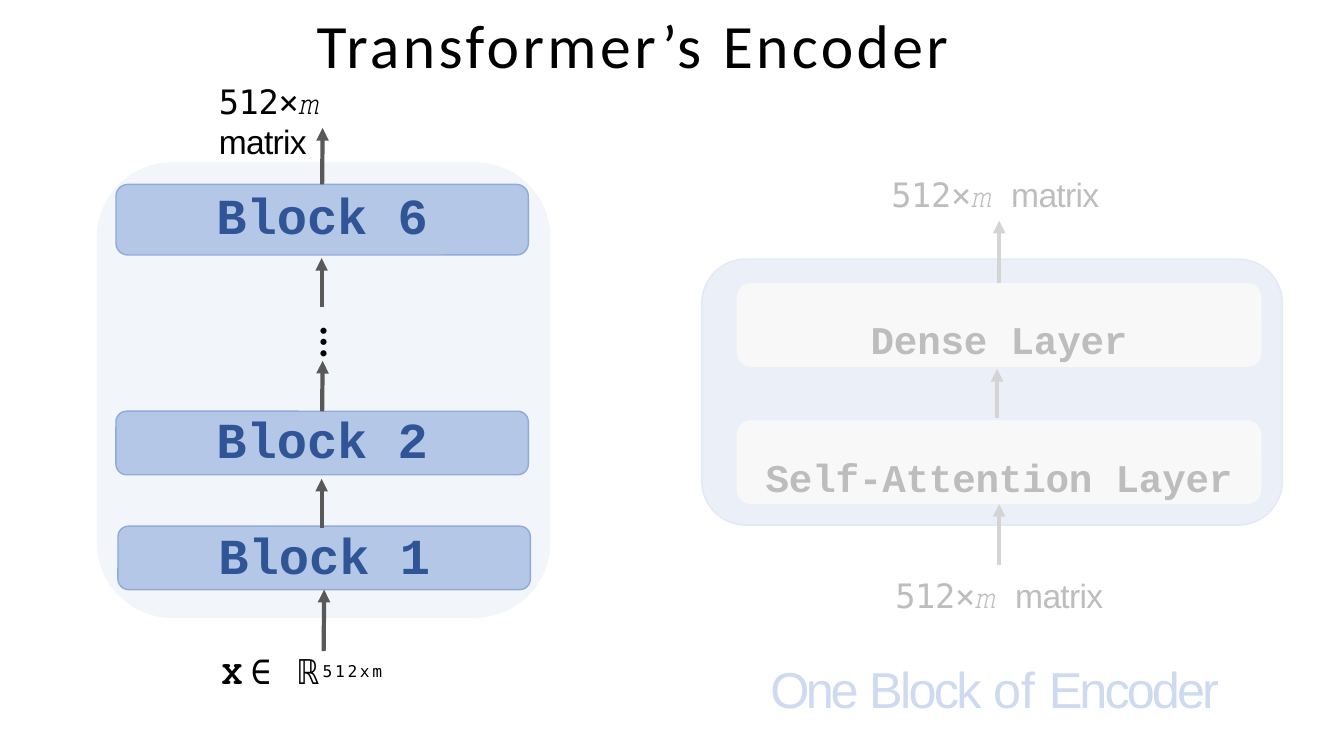
"""Build the slide that shows the Transformer's encoder and one of its blocks."""

from dataclasses import dataclass

from lxml import etree
from pptx import Presentation
from pptx.dml.color import RGBColor
from pptx.enum.shapes import MSO_CONNECTOR, MSO_SHAPE
from pptx.enum.text import MSO_ANCHOR, PP_ALIGN
from pptx.oxml.ns import qn
from pptx.shapes.autoshape import Shape
from pptx.slide import Slide
from pptx.text.text import TextFrame
from pptx.util import Inches, Pt

STRAIGHT = MSO_CONNECTOR.STRAIGHT
RECTANGLE, ROUNDED = MSO_SHAPE.RECTANGLE, MSO_SHAPE.ROUNDED_RECTANGLE
TOP, MIDDLE, BOTTOM = MSO_ANCHOR.TOP, MSO_ANCHOR.MIDDLE, MSO_ANCHOR.BOTTOM
LEFT, CENTER = PP_ALIGN.LEFT, PP_ALIGN.CENTER
TOP_SITE, BOTTOM_SITE = 0, 2


@dataclass(frozen=True)
class Theme:
    """Colours, fonts and type sizes of the slide."""

    black: str = "000000"
    white: str = "FFFFFF"
    panel: str = "DAE3F3"
    block: str = "B4C7E7"
    outline: str = "8FAADC"
    layer: str = "E7E6E6"
    arrow: str = "595959"
    label: str = "2F5597"
    caption: str = "4472C4"
    title_font: str = "Calibri"
    sans: str = "Arial"
    code: str = "Courier New"
    math: str = "DejaVu Sans Mono"
    title_size: float = 44
    formula_size: float = 42
    label_size: float = 36
    layer_size: float = 28
    body_size: float = 24
    exponent_size: float = 20
    arrow_width: float = 3


THEME = Theme()


@dataclass(frozen=True)
class Run:
    """A stretch of text in one format."""

    text: str
    size: float
    font: str
    color: str = THEME.black
    bold: bool = False
    spacing: float = 0
    baseline: int = 0


@dataclass(frozen=True)
class Box:
    """A rectangle in inches, with optional outline and text."""

    left: float
    top: float
    width: float
    height: float
    fill: str | None = None
    line: str | None = None
    opacity: int = 100
    preset: MSO_SHAPE = ROUNDED
    runs: tuple[Run, ...] = ()
    anchor: MSO_ANCHOR = TOP
    align: PP_ALIGN = LEFT
    line_height: float | None = None
    bottom_margin: float = 0


@dataclass(frozen=True)
class Arrow:
    """An upward arrow, joined to the shapes it touches."""

    axis: float
    tail: float
    head: float
    source: str | None = None
    target: str | None = None


def write_text(frame: TextFrame, box: Box) -> None:
    """Fill a text frame with the runs of a box."""
    frame_format = {"word_wrap": True, "vertical_anchor": box.anchor, "margin_left": 0,
                    "margin_right": 0, "margin_top": 0,
                    "margin_bottom": Inches(box.bottom_margin)}
    for name, value in frame_format.items():
        setattr(frame, name, value)
    paragraph = frame.paragraphs[0]
    paragraph.alignment = box.align
    if box.line_height:
        paragraph.line_spacing = Pt(box.line_height)
    for item in box.runs:
        run = paragraph.add_run()
        run.text = item.text
        run_format = {"size": Pt(item.size), "name": item.font, "bold": item.bold}
        for name, value in run_format.items():
            setattr(run.font, name, value)
        run.font.color.rgb = RGBColor.from_string(item.color)
        properties = run._r.get_or_add_rPr()
        properties.set("spc", str(round(item.spacing * 100)))
        if item.baseline:
            properties.set("baseline", str(item.baseline * 1000))


def draw_box(slide: Slide, box: Box) -> Shape:
    """Draw a filled shape, or a text box where there is no fill."""
    place = [Inches(value) for value in (box.left, box.top, box.width, box.height)]
    if box.fill is None:
        shape = slide.shapes.add_textbox(*place)
    else:
        shape = slide.shapes.add_shape(box.preset, *place)
        shape.shadow.inherit = False
        shape.fill.solid()
        shape.fill.fore_color.rgb = RGBColor.from_string(box.fill)
        if box.opacity < 100:
            color = shape._element.spPr.find(f".//{qn('a:srgbClr')}")
            etree.SubElement(color, qn("a:alpha"), val=str(box.opacity * 1000))
        if box.line:
            shape.line.color.rgb = RGBColor.from_string(box.line)
            shape.line.width = Pt(1)
        else:
            shape.line.fill.background()
    if box.runs:
        write_text(shape.text_frame, box)
    return shape


def draw_arrow(slide: Slide, arrow: Arrow, shapes: dict[str, Shape]) -> None:
    """Draw an arrow and join it to its shapes."""
    axis = Inches(arrow.axis)
    connector = slide.shapes.add_connector(
        STRAIGHT, axis, Inches(arrow.tail), axis, Inches(arrow.head))
    if arrow.source:
        connector.begin_connect(shapes[arrow.source], TOP_SITE)
    if arrow.target:
        connector.end_connect(shapes[arrow.target], BOTTOM_SITE)
    connector.line.color.rgb = RGBColor.from_string(THEME.arrow)
    connector.line.width = Pt(THEME.arrow_width)
    etree.SubElement(connector.line._get_or_add_ln(), qn("a:tailEnd"), type="triangle")
    etree.SubElement(connector._element.spPr, qn("a:effectLst"))


def block(number: int, left: float, top: float, height: float, bottom_margin: float) -> Box:
    """Describe one encoder block."""
    label = Run(f"Block {number}", THEME.label_size, THEME.code, THEME.label, True)
    return Box(left, top, 4.09, height, THEME.block, THEME.outline, runs=(label,),
               anchor=MIDDLE, align=CENTER, bottom_margin=bottom_margin)


def layer(name: str, top: float) -> Box:
    """Describe one layer inside a block."""
    label = Run(name, THEME.layer_size, THEME.code, bold=True, spacing=-0.1)
    return Box(7.31, top, 5.2, 0.83, THEME.layer, runs=(label,), anchor=BOTTOM, align=CENTER)


def matrix_size(left: float, top: float, width: float) -> Box:
    """Describe a note on the matrix size."""
    return Box(left, top, width, 0.43, runs=(
        Run("512×𝑚 ", THEME.body_size, THEME.math, spacing=-0.2),
        Run("matrix", THEME.body_size, THEME.sans, spacing=-0.5)))


def main() -> None:
    """Draw the slide and save it."""
    title = [Run(text, THEME.title_size, THEME.title_font, spacing=spacing)
             for text, spacing in (("Transformer’s ", 2.5), ("Encoder", 2.4))]
    caption = [Run(text, THEME.label_size, THEME.sans, THEME.caption, spacing=spacing)
               for text, spacing in (("One ", -2.5), ("Block ", -1.9), ("of ", -0.1),
                                     ("Encoder", -2.1))]
    formula = [Run(text, size, THEME.math, spacing=spacing, baseline=-21)
               for text, size, spacing in (
                   ("𝐗 ", THEME.formula_size, -8.7), ("∈ ", THEME.formula_size, 2.5),
                   ("ℝ", THEME.formula_size, 2.4), ("512xm", THEME.exponent_size, 1.9))]
    dots = Run("⋮", THEME.title_size, THEME.math, spacing=1.4)

    one_block = {
        "block panel": Box(6.96, 2.57, 5.76, 2.64, THEME.block, THEME.outline),
        "title": Box(3.14, 0.06, 7.77, 0.75, runs=tuple(title), anchor=MIDDLE),
        "attention": layer("Self-Attention Layer", 4.17),
        "dense": layer("Dense Layer", 2.81),
        "block output": matrix_size(8.84, 1.73, 3),
        "block input": matrix_size(8.88, 5.7, 3),
        "caption": Box(7.64, 6.53, 4.9, 0.6, runs=tuple(caption)),
    }
    one_block_arrows = [Arrow(9.91, 5.61, 5, target="attention"),
                        Arrow(9.89, 4.15, 3.66),
                        Arrow(9.91, 2.81, 2.19, "dense")]
    encoder = {
        "veil": Box(6.6, 1.46, 6.73, 5.91, THEME.white, opacity=74, preset=RECTANGLE),
        "encoder panel": Box(0.96, 1.61, 4.5, 4.52, THEME.panel, opacity=34),
        "block 1": block(1, 1.17, 5.22, 0.63, 0.07),
        "block 2": block(2, 1.15, 4.08, 0.63, 0.1),
        "block 6": block(6, 1.15, 1.83, 0.7, 0.1),
        "dots": Box(2.21, 2.93, 2, 0.72, runs=(dots,), align=CENTER),
        "encoder output": matrix_size(2.17, 0.8, 2.05),
        "encoder input": Box(2.2, 6.5, 1.98, 0.38, runs=tuple(formula), line_height=25.6),
    }
    encoder_arrows = [Arrow(3.21, 6.46, 5.85, target="block 1"),
                      Arrow(3.19, 5.24, 4.75),
                      Arrow(3.2, 4.08, 3.58, "block 2"),
                      Arrow(3.19, 3.05, 2.56),
                      Arrow(3.2, 1.83, 1.27, "block 6")]

    presentation = Presentation()
    presentation.slide_width, presentation.slide_height = Inches(13.33), Inches(7.5)
    slide = presentation.slides.add_slide(presentation.slide_layouts[6])
    for boxes, arrows in ((one_block, one_block_arrows), (encoder, encoder_arrows)):
        shapes = {name: draw_box(slide, box) for name, box in boxes.items()}
        for arrow in arrows:
            draw_arrow(slide, arrow, shapes)
    presentation.save("out.pptx")


if __name__ == "__main__":
    main()
